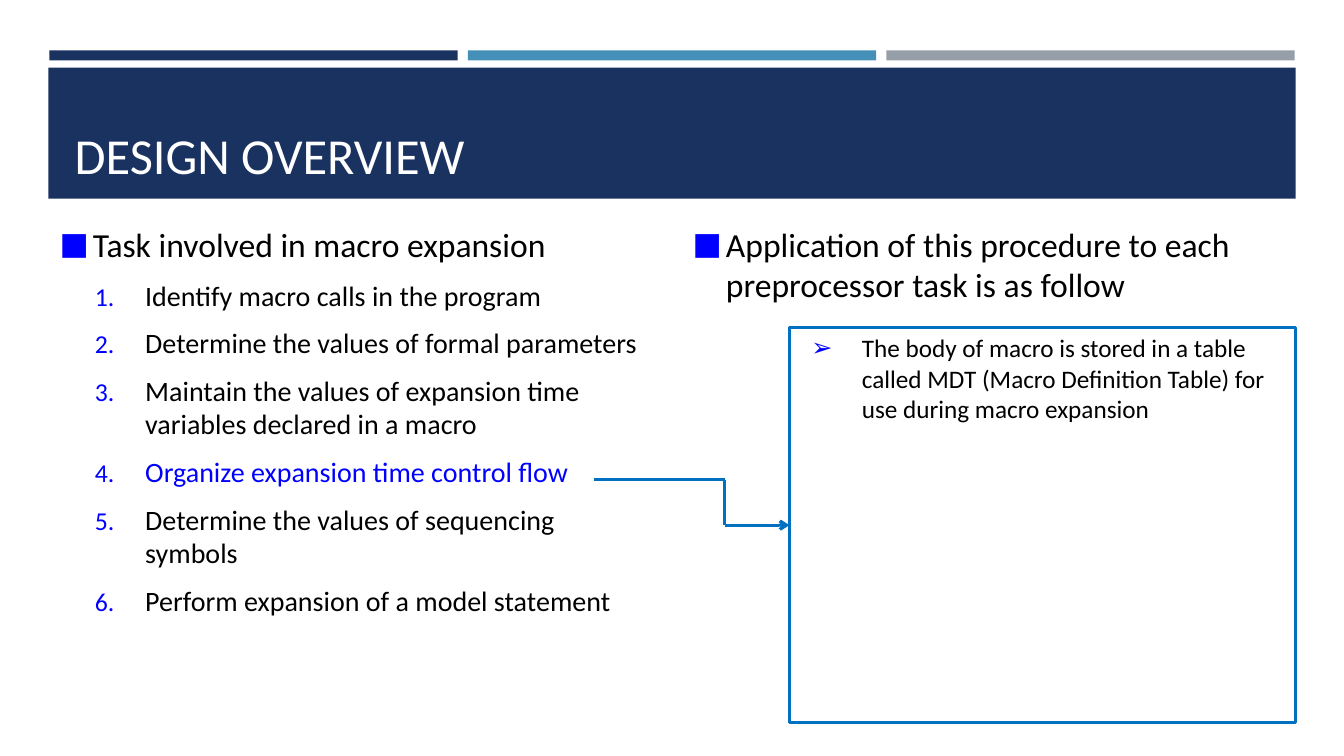
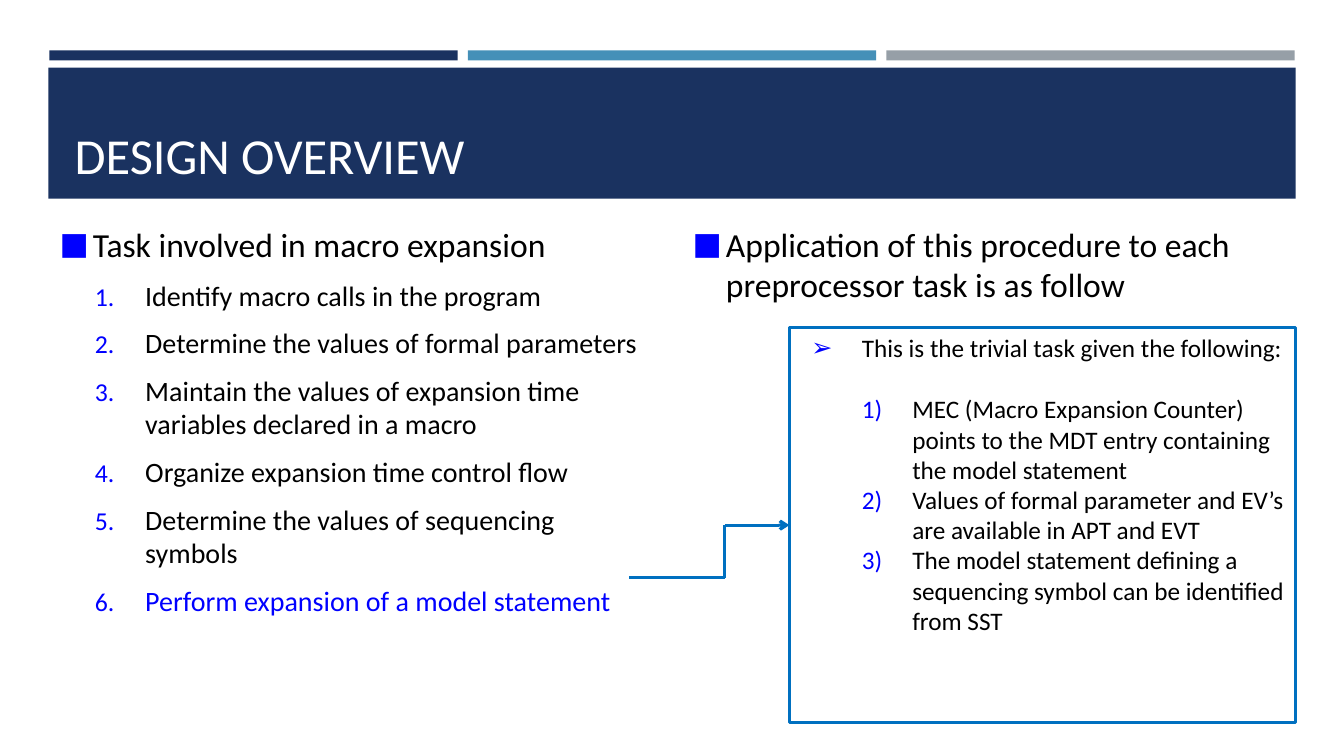
from lxml import etree
from pptx import Presentation
from pptx.dml.color import RGBColor
from pptx.enum.shapes import MSO_CONNECTOR, MSO_SHAPE
from pptx.enum.text import MSO_ANCHOR, MSO_AUTO_SIZE, PP_ALIGN
from pptx.oxml.ns import qn
from pptx.util import Inches, Pt

NAVY = RGBColor(0x1A, 0x32, 0x60)
SKY = RGBColor(0x45, 0x90, 0xB8)
GREY = RGBColor(0x96, 0x9F, 0xA7)
BLUE = RGBColor(0x00, 0x00, 0xFF)
OUTLINE = RGBColor(0x00, 0x70, 0xC0)
BLACK = RGBColor(0x00, 0x00, 0x00)
WHITE = RGBColor(0xFF, 0xFF, 0xFF)
FONT = "Calibri"

TITLE_AREA = (0.64, 0.77, 12.06, 1.11)
TASK_AREA = (0.49, 2.17, 6.08, 5)
APPLICATION_AREA = (6.77, 2.17, 6.08, 1.08)
DETAIL_AREA = (7.83, 3.25, 5.02, 3.92)
BEND_X = 7.19

TASKS = [
    "Identify macro calls in the program",
    "Determine the values of formal parameters",
    "Maintain the values of expansion time variables declared in a macro",
    "Organize expansion time control flow",
    "Determine the values of sequencing symbols",
    "Perform expansion of a model statement",
]


def place(part, area):
    """Move a part to an area given in inches."""
    part.left, part.top, part.width, part.height = map(Inches, area)


def add_band(slide, area, color):
    """Add a plain filled band and return it."""
    band = slide.shapes.add_shape(MSO_SHAPE.RECTANGLE, *map(Inches, area))
    band.shadow.inherit = False
    band.fill.solid()
    band.fill.fore_color.rgb = color
    band.line.fill.background()
    return band


def style_layout(layout, slide):
    """Place the layout's placeholders and move the shared bands behind them."""
    for placeholder, area in zip(layout.placeholders, (TITLE_AREA, TASK_AREA, APPLICATION_AREA)):
        place(placeholder, area)
    bands = [add_band(slide, (0.49 + 4.15 * column, 0.5, 4.05, 0.1), color)
             for column, color in enumerate((NAVY, SKY, GREY))]
    bands.append(add_band(slide, (0.48, 0.67, 12.37, 1.3), NAVY))
    for order, band in enumerate(bands):
        band.element.nvSpPr.cNvPr.set("id", str(20 + order))
        layout.shapes.element.insert(2 + order, band.element)


def set_bullet(paragraph, margin, hanging, symbol=None, numbering=None, percent=100):
    """Give a paragraph a blue bullet symbol or automatic number."""
    properties = paragraph._p.get_or_add_pPr()
    properties.set("marL", str(Inches(margin)))
    properties.set("indent", str(-Inches(hanging)))
    color = etree.SubElement(properties, qn("a:buClr"))
    etree.SubElement(color, qn("a:srgbClr"), val=str(BLUE))
    etree.SubElement(properties, qn("a:buSzPct"), val=str(percent * 1000))
    etree.SubElement(properties, qn("a:buFont"), typeface=FONT)
    if symbol:
        etree.SubElement(properties, qn("a:buChar"), char=symbol)
    else:
        etree.SubElement(properties, qn("a:buAutoNum"), type=numbering)


def add_run(paragraph, text, size, color=BLACK):
    """Add one formatted run."""
    run = paragraph.add_run()
    run.text = text
    run.font.name = FONT
    run.font.size = Pt(size)
    run.font.color.rgb = color


def next_paragraph(frame):
    """Return the empty first paragraph, or a new one."""
    first = frame.paragraphs[0]
    return frame.add_paragraph() if first.runs else first


def fill_title(title, text):
    """Write the slide title at the foot of its band."""
    title.text_frame.vertical_anchor = MSO_ANCHOR.BOTTOM
    title.text_frame.auto_size = MSO_AUTO_SIZE.NONE
    heading = title.text_frame.paragraphs[0]
    heading.alignment = PP_ALIGN.LEFT
    add_run(heading, text, 36, WHITE)


def fill_list(body, heading, items=(), highlighted=None):
    """Write a bulleted heading followed by numbered items."""
    frame = body.text_frame
    frame.auto_size = MSO_AUTO_SIZE.NONE
    lead = next_paragraph(frame)
    set_bullet(lead, 0.33, 0.33, symbol="■", percent=92)
    lead.space_before, lead.space_after = Pt(0), Pt(6)
    add_run(lead, heading, 24)
    for number, text in enumerate(items, 1):
        item = next_paragraph(frame)
        item.level = 1
        set_bullet(item, 0.85, 0.5, numbering="arabicPeriod", percent=92)
        item.space_before, item.space_after = Pt(4), Pt(6)
        add_run(item, text, 20, BLUE if number == highlighted else BLACK)


def add_detail(slide, area, lead_text, points):
    """Add the outlined box that explains the highlighted task."""
    detail = slide.shapes.add_shape(MSO_SHAPE.RECTANGLE, *map(Inches, area))
    detail.shadow.inherit = False
    detail.fill.background()
    detail.line.color.rgb = OUTLINE
    detail.line.width = Pt(1.75)
    frame = detail.text_frame
    frame.word_wrap = True
    frame.vertical_anchor = MSO_ANCHOR.TOP
    lead = next_paragraph(frame)
    lead.level = 2
    lead.alignment = PP_ALIGN.LEFT
    set_bullet(lead, 0.62, 0.5, symbol="➢")
    add_run(lead, lead_text, 18)
    if points:
        lead.space_after = Pt(22)
    for text in points:
        point = next_paragraph(frame)
        point.level = 3
        point.alignment = PP_ALIGN.LEFT
        set_bullet(point, 1.12, 0.5, numbering="arabicParenR")
        add_run(point, text, 18)
    return detail


def add_link(slide, start, detail, area):
    """Draw a stepped arrow from a start point to the left side of the box."""
    left, top, _, height = area
    middle = top + height / 2
    corners = [start, (BEND_X, start[1]), (BEND_X, middle), (left, middle)]
    for begin, end in zip(corners, corners[1:]):
        segment = slide.shapes.add_connector(
            MSO_CONNECTOR.STRAIGHT, *map(Inches, begin + end))
        segment.line.color.rgb = OUTLINE
        segment.line.width = Pt(2.25)
        etree.SubElement(segment.element.spPr, qn("a:effectLst"))
    segment.end_connect(detail, 1)
    etree.SubElement(segment.line._get_or_add_ln(), qn("a:tailEnd"), type="arrow")


def add_overview(slide, highlighted, link_start, lead_text, points=()):
    """Fill one design overview slide."""
    title, tasks, application = slide.placeholders
    fill_title(title, "DESIGN OVERVIEW")
    fill_list(tasks, "Task involved in macro expansion", TASKS, highlighted)
    fill_list(application, "Application of this procedure to each preprocessor task is as follow")
    detail = add_detail(slide, DETAIL_AREA, lead_text, points)
    add_link(slide, link_start, detail, DETAIL_AREA)


def main():
    """Build and save the presentation."""
    presentation = Presentation()
    presentation.slide_width = Inches(13.33)
    presentation.slide_height = Inches(7.5)
    layout = presentation.slide_layouts.get_by_name("Two Content")
    control_flow = presentation.slides.add_slide(layout)
    style_layout(layout, control_flow)
    add_overview(
        control_flow, 4, (5.89, 4.76),
        "The body of macro is stored in a table called MDT (Macro Definition Table) "
        "for use during macro expansion")
    model_statement = presentation.slides.add_slide(layout)
    add_overview(
        model_statement, 6, (6.24, 5.73),
        "This is the trivial task given the following:",
        ["MEC (Macro Expansion Counter) points to the MDT entry containing the model statement",
         "Values of formal parameter and EV’s are available in APT and EVT",
         "The model statement defining a sequencing symbol can be identified from SST"])
    presentation.save("out.pptx")


if __name__ == "__main__":
    main()
